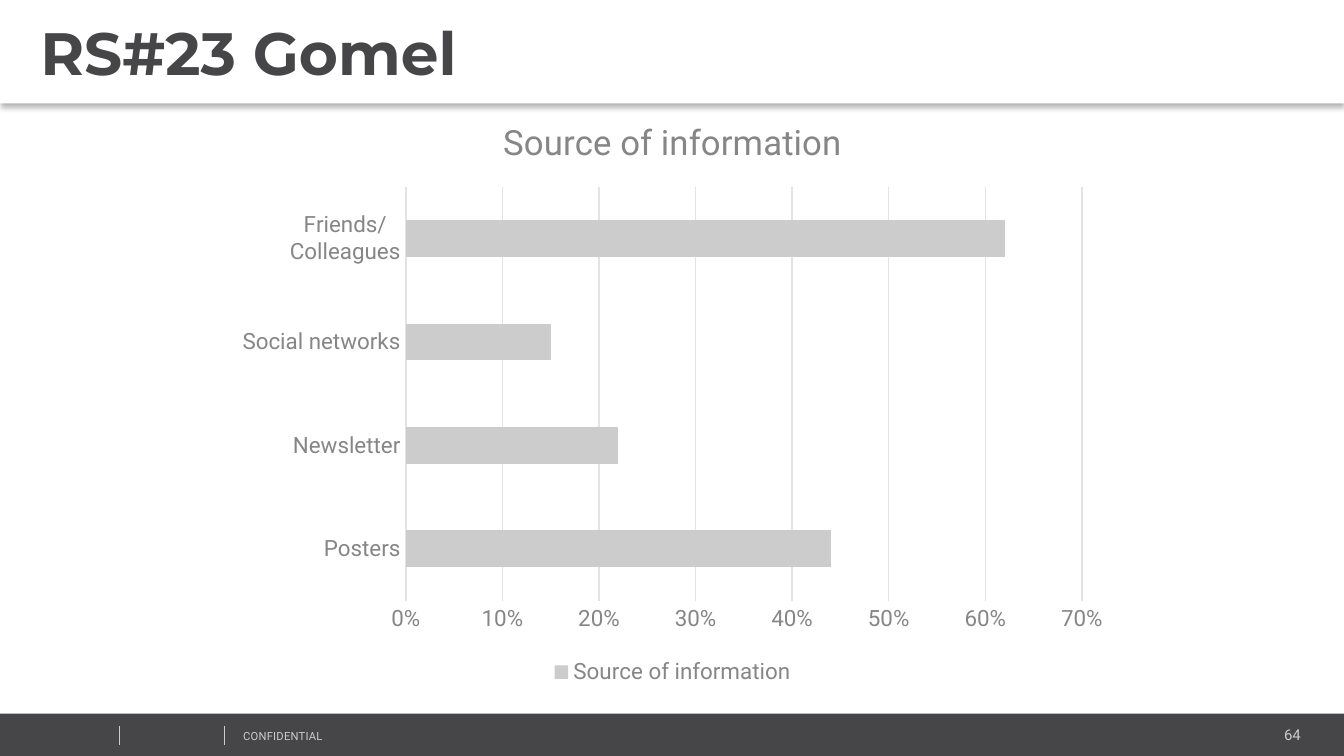
from dataclasses import dataclass

from lxml import etree
from pptx import Presentation
from pptx.chart.data import CategoryChartData
from pptx.dml.color import RGBColor
from pptx.enum.chart import XL_CHART_TYPE, XL_LEGEND_POSITION, XL_TICK_MARK
from pptx.enum.shapes import MSO_CONNECTOR, MSO_SHAPE
from pptx.enum.text import MSO_ANCHOR, MSO_AUTO_SIZE, PP_ALIGN
from pptx.oxml import parse_xml
from pptx.oxml.ns import nsdecls, qn
from pptx.util import Inches, Pt

BAR_CLUSTERED = XL_CHART_TYPE.BAR_CLUSTERED
LEGEND_BOTTOM = XL_LEGEND_POSITION.BOTTOM
NO_TICKS = XL_TICK_MARK.NONE
STRAIGHT = MSO_CONNECTOR.STRAIGHT
RECTANGLE = MSO_SHAPE.RECTANGLE
MIDDLE = MSO_ANCHOR.MIDDLE
NO_AUTOFIT = MSO_AUTO_SIZE.NONE
LEFT, RIGHT = PP_ALIGN.LEFT, PP_ALIGN.RIGHT

WHITE = RGBColor(0xFF, 0xFF, 0xFF)
CHARCOAL = RGBColor(0x46, 0x45, 0x47)
LABEL_GRAY = RGBColor(0x87, 0x85, 0x88)
LIGHT_GRAY = RGBColor(0xCC, 0xCC, 0xCC)
GRID_GRAY = RGBColor(0xE3, 0xE3, 0xE4)

HEADING_FONT = "Montserrat"
BODY_FONT = "Roboto"

SLIDE_WIDTH = Inches(10)
SLIDE_HEIGHT = SLIDE_WIDTH * 9 // 16


@dataclass(frozen=True)
class FooterLabel:
    text: str
    left: float
    top: float
    width: float
    height: float
    size: float
    align: PP_ALIGN
    tracking: int = 0  # hundredths of a point


FOOTER_LABELS = [
    FooterLabel("64", 8.12, 5.36, 1.63, 0.21, 8, RIGHT),
    FooterLabel("CONFIDENTIAL", 1.74, 5.39, 2.53, 0.18, 6, LEFT, 10),
]
DIVIDER_POSITIONS = [0.89, 1.67]
SOURCE_SHARES = {
    "Posters": 0.44,
    "Newsletter": 0.22,
    "Social networks": 0.15,
    "Friends/Colleagues": 0.62,
}
CHART_WIDTH, CHART_HEIGHT = 6.67, 4.44
# Inner plot area, inches within the chart frame turned into fractions
PLOT_LAYOUT = {
    "x": 1.35 / CHART_WIDTH,
    "y": 0.69 / CHART_HEIGHT,
    "w": 5.03 / CHART_WIDTH,
    "h": 3.08 / CHART_HEIGHT,
}


def style_font(font, name: str, size: float, color: RGBColor, bold: bool = False) -> None:
    font.name = name
    font.size = Pt(size)
    font.bold = bold
    font.color.rgb = color


def set_insets(frame, left: float) -> None:
    frame.margin_left = Inches(left)
    frame.margin_right = Inches(0.07)
    frame.margin_top = frame.margin_bottom = Inches(0.04)


def add_footer_label(slide, label: FooterLabel) -> None:
    box = slide.shapes.add_textbox(
        Inches(label.left), Inches(label.top), Inches(label.width), Inches(label.height)
    )
    frame = box.text_frame
    frame.word_wrap = True
    set_insets(frame, 0.07)
    frame.text = label.text
    paragraph = frame.paragraphs[0]
    paragraph.alignment = label.align
    font = paragraph.runs[0].font
    style_font(font, BODY_FONT, label.size, LIGHT_GRAY)
    if label.tracking:
        font._element.set("spc", str(label.tracking))


def add_divider(slide, x: float) -> None:
    divider = slide.shapes.add_connector(
        STRAIGHT, Inches(x), Inches(5.4), Inches(x), Inches(5.54)
    )
    divider.line.color.rgb = LIGHT_GRAY
    divider.line.width = Pt(0.25)
    etree.SubElement(divider._element.spPr, qn("a:effectLst"))


def add_footer(slide) -> None:
    band = slide.shapes.add_shape(
        RECTANGLE, Inches(0), Inches(5.31), Inches(10.01), Inches(0.33)
    )
    band.shadow.inherit = False
    band.fill.solid()
    band.fill.fore_color.rgb = CHARCOAL
    band.line.fill.background()
    for label in FOOTER_LABELS:
        add_footer_label(slide, label)
    for x in DIVIDER_POSITIONS:
        add_divider(slide, x)


def format_heading(heading) -> None:
    heading.left, heading.top = Inches(0), Inches(0)
    heading.width, heading.height = SLIDE_WIDTH, Inches(0.77)
    heading.fill.solid()
    heading.fill.fore_color.rgb = WHITE

    # Soft shadow below the header band
    heading.shadow.inherit = False
    effects = heading._element.spPr.find(qn("a:effectLst"))
    effects.append(parse_xml(
        f'<a:outerShdw {nsdecls("a")} blurRad="{Pt(3.1)}" dist="{Pt(2)}" '
        'dir="5400000" algn="t" rotWithShape="0"><a:srgbClr val="000000">'
        '<a:alpha val="30000"/></a:srgbClr></a:outerShdw>'
    ))

    frame = heading.text_frame
    frame.auto_size = NO_AUTOFIT
    frame.word_wrap = True
    frame.vertical_anchor = MIDDLE
    set_insets(frame, 0.3)
    frame.text = "RS#23 Gomel"
    paragraph = frame.paragraphs[0]
    paragraph.alignment = LEFT
    style_font(paragraph.runs[0].font, HEADING_FONT, 32, CHARCOAL, bold=True)


def fix_plot_layout(chart) -> None:
    plot_area = chart._chartSpace.chart.plotArea
    for old_layout in plot_area.findall(qn("c:layout")):
        plot_area.remove(old_layout)
    sizes = "".join(f'<c:{key} val="{value:.4f}"/>' for key, value in PLOT_LAYOUT.items())
    plot_area.insert(0, parse_xml(
        f'<c:layout {nsdecls("c")}><c:manualLayout><c:layoutTarget val="inner"/>'
        f'<c:xMode val="edge"/><c:yMode val="edge"/>{sizes}</c:manualLayout></c:layout>'
    ))


def add_source_chart(slide) -> None:
    chart_data = CategoryChartData(number_format="0%")
    chart_data.categories = list(SOURCE_SHARES)
    chart_data.add_series("Source of information", list(SOURCE_SHARES.values()))
    chart = slide.shapes.add_chart(
        BAR_CLUSTERED, Inches(1.67), Inches(0.7),
        Inches(CHART_WIDTH), Inches(CHART_HEIGHT), chart_data,
    ).chart
    style_font(chart.font, BODY_FONT, 10, CHARCOAL)

    # Title and legend
    chart.has_title = True
    chart_title = chart.chart_title.text_frame
    chart_title.text = "Source of information"
    style_font(chart_title.paragraphs[0].runs[0].font, BODY_FONT, 18.6, LABEL_GRAY)
    chart.has_legend = True
    chart.legend.position = LEGEND_BOTTOM
    chart.legend.include_in_layout = False
    style_font(chart.legend.font, BODY_FONT, 12, LABEL_GRAY)

    # Axes
    categories, shares = chart.category_axis, chart.value_axis
    for axis in (categories, shares):
        axis.major_tick_mark = axis.minor_tick_mark = NO_TICKS
        style_font(axis.tick_labels.font, BODY_FONT, 12, LABEL_GRAY)
    shares.minimum_scale, shares.maximum_scale, shares.major_unit = 0, 0.7, 0.1
    shares.tick_labels.number_format = "0%"
    shares.tick_labels.number_format_is_linked = False
    shares.format.line.fill.background()
    for line in (categories.format.line, shares.major_gridlines.format.line):
        line.color.rgb = GRID_GRAY
        line.width = Pt(0.75)

    # Bars
    bars = chart.plots[0]
    bars.gap_width = 182
    bars.vary_by_categories = False
    bar_fill = bars.series[0].format.fill
    bar_fill.solid()
    bar_fill.fore_color.rgb = LIGHT_GRAY
    fix_plot_layout(chart)


presentation = Presentation()
presentation.slide_width, presentation.slide_height = SLIDE_WIDTH, SLIDE_HEIGHT
slide = presentation.slides.add_slide(presentation.slide_layouts[5])  # title only
format_heading(slide.shapes.title)
add_footer(slide)
add_source_chart(slide)
presentation.save("out.pptx")
